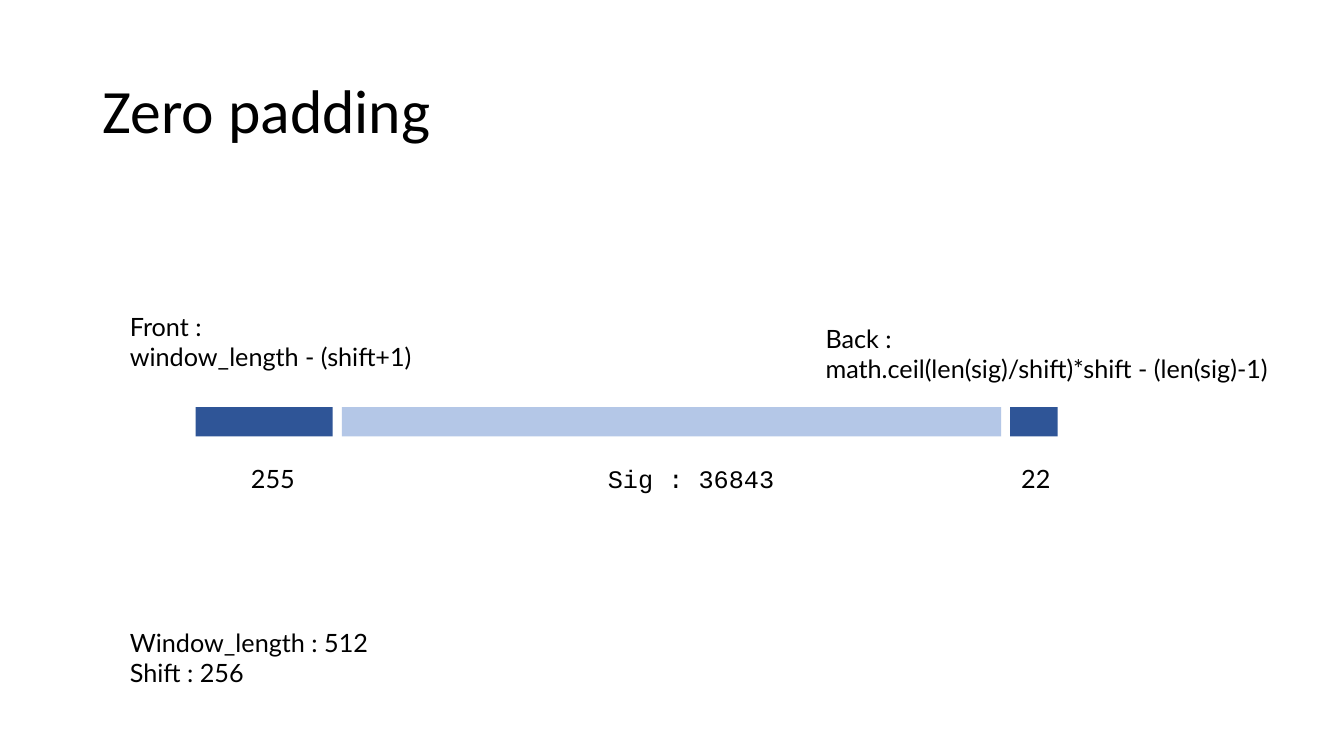
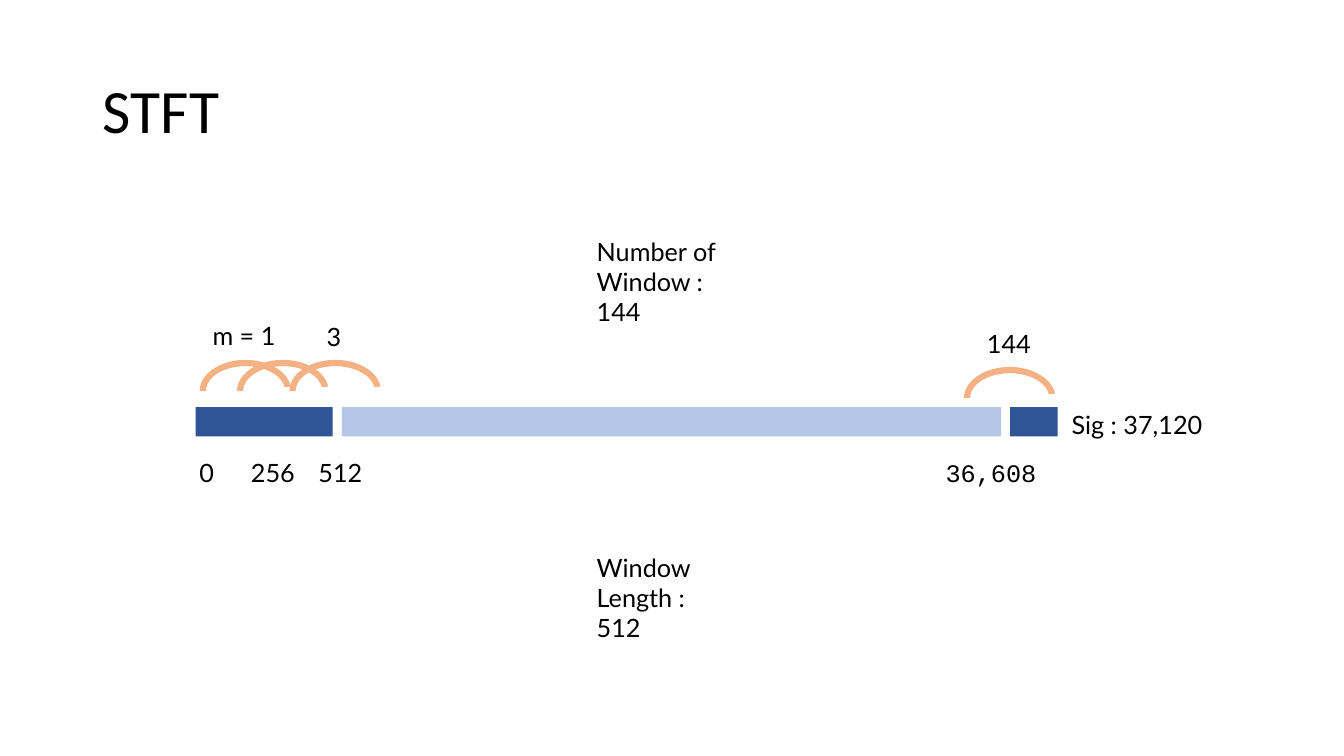
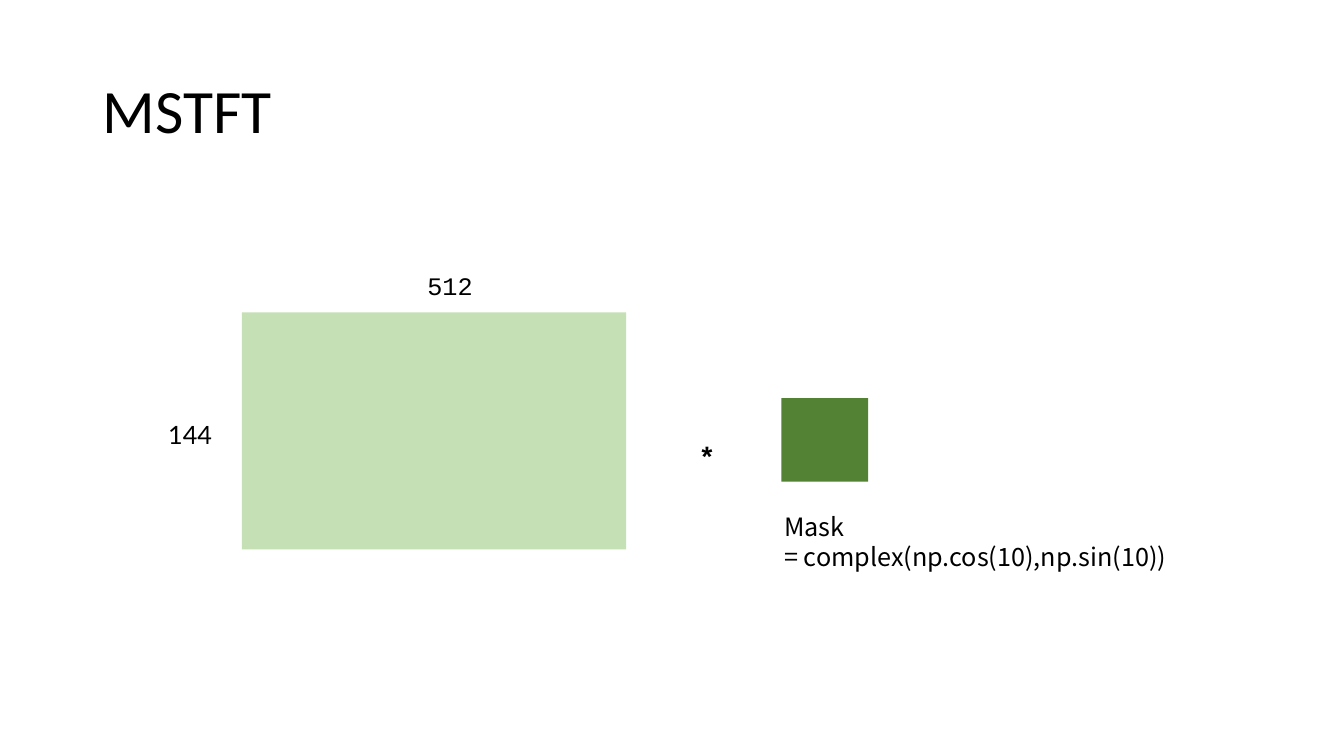
from pptx import Presentation
from pptx.dml.color import RGBColor
from pptx.enum.shapes import MSO_SHAPE
from pptx.enum.text import MSO_ANCHOR, MSO_AUTO_SIZE, PP_ALIGN
from pptx.util import Emu, Pt

EMU_PER_PX = 9144  # 100 px to the inch

BLACK = "000000"
DARK_BLUE, LIGHT_BLUE = "2F5597", "B4C7E7"
DARK_GREEN, LIGHT_GREEN = "548235", "C5E0B4"
ORANGE = "F4B183"

TITLE_FONT, TEXT_FONT = "Calibri", "Lato"
CODE_FONT, KOREAN_FONT = "Courier New", "Noto Sans CJK KR"


def px(length):
    return Emu(length * EMU_PER_PX)


def color(hex_code):
    return RGBColor.from_string(hex_code)


class SlideBuilder:
    def __init__(self):
        self.deck = Presentation()
        self.deck.slide_width, self.deck.slide_height = px(1333), px(750)
        self.slide = None

    def start(self, title):
        """Add a slide with the shared title style and make it current."""
        layout = self.deck.slide_layouts.get_by_name("Title Only")
        self.slide = self.deck.slides.add_slide(layout)
        box = self.slide.shapes.title
        box.left, box.top, box.width, box.height = map(px, (92, 40, 1150, 145))
        box.text_frame.auto_size = MSO_AUTO_SIZE.NONE
        box.text_frame.vertical_anchor = MSO_ANCHOR.MIDDLE
        self.set_text(box, [title], TITLE_FONT, 44)
        para = box.text_frame.paragraphs[0]
        para.alignment = PP_ALIGN.LEFT
        para.line_spacing = 0.9

    def set_text(self, box, lines, font, size, bold=False):
        frame = box.text_frame
        frame.text = "\n".join(lines)
        for para in frame.paragraphs:
            para.font.name = font
            para.font.size = Pt(size)
            para.font.bold = bold
            para.font.color.rgb = color(BLACK)

    def label(self, left, top, *lines, width=185, height=40,
              font=TEXT_FONT, size=18, bold=False):
        box = self.slide.shapes.add_textbox(*map(px, (left, top, width, height)))
        box.text_frame.word_wrap = True
        self.set_text(box, lines, font, size, bold)

    def block(self, left, top, width, height, fill, kind=MSO_SHAPE.RECTANGLE):
        shape = self.slide.shapes.add_shape(
            kind, *map(px, (left, top, width, height)))
        shape.shadow.inherit = False
        shape.fill.solid()
        shape.fill.fore_color.rgb = color(fill)
        shape.line.fill.background()
        return shape

    def window_arc(self, left, top):
        arc = self.block(left, top, 91, 62, ORANGE, MSO_SHAPE.BLOCK_ARC)
        for index, value in enumerate((108, 212.55, 0.1)):
            arc.adjustments[index] = value

    def padded_signal(self):
        """Draw the signal bar between its front and back padding."""
        left = 194
        for width, fill in ((136, DARK_BLUE), (654, LIGHT_BLUE), (47, DARK_BLUE)):
            self.block(left, 404, width, 29, fill)
            left += width + 9


def zero_padding(builder):
    builder.start("Zero padding")
    builder.padded_signal()
    for left, top, lines in (
        (119, 304, ("Front :", "window_length - (shift+1)")),
        (809, 316, ("Back :", "math.ceil(len(sig)/shift)*shift - (len(sig)-1)")),
        (119, 617, ("Window_length : 512", "Shift : 256")),
    ):
        builder.label(left, top, *lines, width=570, height=71)
    builder.label(239, 455, "255")
    builder.label(593, 455, "Sig : 36843", width=193, font=CODE_FONT)
    builder.label(1003, 455, "22", width=111)


def stft(builder):
    builder.start("STFT")
    builder.padded_signal()
    for left, top in ((198, 357), (235, 357), (287, 357), (956, 364)):
        builder.window_arc(left, top)
    for left, top, text in (
        (201, 313, "m = 1"), (314, 314, "3"), (969, 321, "144"),
        (188, 449, "0"), (239, 449, "256"), (306, 449, "512"),
        (1053, 401, "Sig : 37,120"),
    ):
        builder.label(left, top, text)
    builder.label(928, 449, "36,608", font=CODE_FONT)
    builder.label(582, 229, "Number of Window :", "144", height=131)
    builder.label(582, 543, "Window Length :", "512", height=131)


def mstft(builder):
    builder.start("MSTFT")
    builder.block(240, 310, 381, 235, LIGHT_GREEN)
    builder.label(414, 263, "512", font=CODE_FONT)
    builder.label(157, 411, "144")
    builder.label(683, 431, "*", height=44, font=CODE_FONT, size=20, bold=True)
    builder.block(775, 395, 86, 83, DARK_GREEN)
    builder.label(768, 502, "Mask", "= complex(np.cos(10),np.sin(10))",
                  width=667, height=71, font=KOREAN_FONT)


def main():
    builder = SlideBuilder()
    for build_slide in (zero_padding, stft, mstft):
        build_slide(builder)
    builder.deck.save("out.pptx")


if __name__ == "__main__":
    main()
